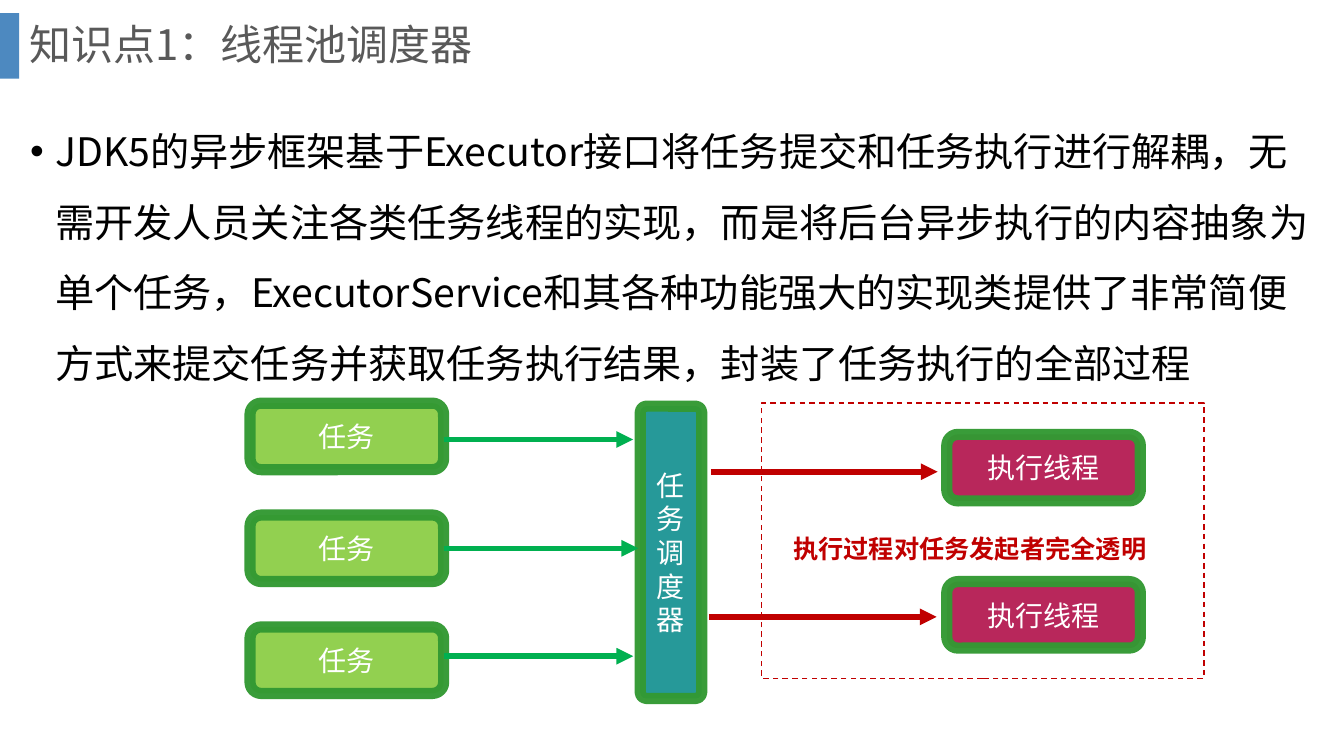
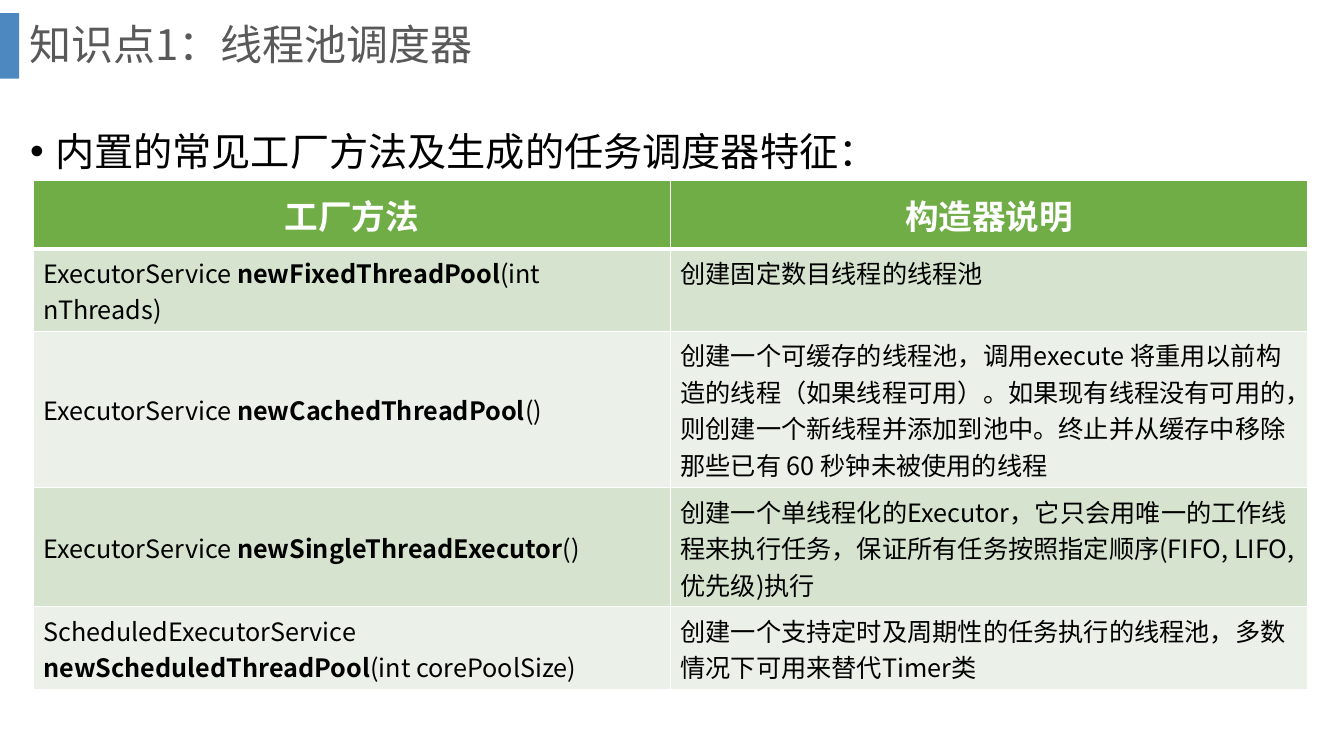
from lxml import etree
from pptx import Presentation
from pptx import util as u
from pptx.dml.color import RGBColor
from pptx.enum import dml, shapes, text
from pptx.oxml import ns

FONT = "Noto Sans CJK SC"
BAND_BLUE = RGBColor(0x2E, 0x75, 0xB6)
TITLE_GRAY = RGBColor(0x59, 0x59, 0x59)
BLACK = RGBColor(0, 0, 0)
WHITE = RGBColor(0xFF, 0xFF, 0xFF)
EDGE_GREEN = RGBColor(0x33, 0x99, 0x33)
TASK_GREEN = RGBColor(0x92, 0xD0, 0x50)
TEAL = RGBColor(0x26, 0x99, 0x99)
CRIMSON = RGBColor(0xB8, 0x27, 0x5B)
SUBMIT_GREEN = RGBColor(0x00, 0xB0, 0x50)
RED = RGBColor(0xC0, 0x00, 0x00)
HEADER_GREEN = RGBColor(0x70, 0xAD, 0x47)
ROW_TINTS = [RGBColor(0xD5, 0xE3, 0xCF), RGBColor(0xEB, 0xF1, 0xE9)]


def format_runs(paragraph, size, color):
    for run in paragraph.runs:
        run.font.size = u.Pt(size)
        run.font.color.rgb = color
        run.font.name = FONT
        east_asian = etree.SubElement(run.font._element, ns.qn("a:ea"))
        east_asian.set("typeface", FONT)


def set_opacity(shape, color_query, percent):
    for color in shape._element.xpath(color_query):
        etree.SubElement(color, ns.qn("a:alpha")).set("val", str(percent * 1000))


deck = Presentation()
deck.slide_width = u.Inches(13.33)
deck.slide_height = u.Inches(7.5)

statements = [
    "JDK5的异步框架基于Executor接口将任务提交和任务执行进行解耦，无需开发人员关注各类任务线程的实现，"
    "而是将后台异步执行的内容抽象为单个任务，ExecutorService和其各种功能强大的实现类提供了非常简便方式"
    "来提交任务并获取任务执行结果，封装了任务执行的全部过程",
    "内置的常见工厂方法及生成的任务调度器特征：",
]

for statement in statements:
    slide = deck.slides.add_slide(deck.slide_layouts[6])
    band = slide.shapes.add_shape(
        shapes.MSO_SHAPE.RECTANGLE, 0, u.Inches(0.13), u.Inches(0.19), u.Inches(0.65))
    band.shadow.inherit = False
    band.fill.solid()
    band.fill.fore_color.rgb = BAND_BLUE
    band.line.fill.background()
    set_opacity(band, "./p:spPr/a:solidFill/a:srgbClr", 85)

    title = slide.shapes.add_textbox(u.Inches(0.19), 0, u.Inches(12.66), u.Inches(0.93)).text_frame
    title.word_wrap = True
    title.vertical_anchor = text.MSO_ANCHOR.MIDDLE
    title.text = "知识点1：线程池调度器"
    title.paragraphs[0].line_spacing = 0.9
    format_runs(title.paragraphs[0], 30, TITLE_GRAY)

    body = slide.shapes.add_textbox(
        u.Inches(0.2), u.Inches(0.98), u.Inches(12.9), u.Inches(5.96)).text_frame
    body.word_wrap = True
    body.text = statement
    bullet_line = body.paragraphs[0]
    bullet_line.line_spacing = 1.5
    properties = bullet_line._p.get_or_add_pPr()
    properties.set("marL", str(u.Inches(0.25)))
    properties.set("indent", str(u.Inches(-0.25)))
    etree.SubElement(properties, ns.qn("a:buFont")).set("typeface", "Arial")
    etree.SubElement(properties, ns.qn("a:buChar")).set("char", "•")
    format_runs(bullet_line, 28, BLACK)

flow, methods = deck.slides

task_tops = [4, 5.11, 6.22]
worker_tops = [4.31, 5.77]
box_width, box_height = 1.92, 0.66
task_left, worker_left = 2.48, 9.39

nodes = [("任务调度器", 6.35, 4.03, 0.61, 2.9, TEAL)]
nodes += [("任务", task_left, top, box_width, box_height, TASK_GREEN) for top in task_tops]
nodes += [("执行线程", worker_left, top, box_width, box_height, CRIMSON) for top in worker_tops]
boxes = []
for label, left, top, width, height, color in nodes:
    box = flow.shapes.add_shape(
        shapes.MSO_SHAPE.ROUNDED_RECTANGLE,
        u.Inches(left), u.Inches(top), u.Inches(width), u.Inches(height))
    box.shadow.inherit = False
    box.fill.solid()
    box.fill.fore_color.rgb = color
    box.line.color.rgb = EDGE_GREEN
    box.line.width = u.Pt(8)
    set_opacity(box, "./p:spPr/a:ln/a:solidFill/a:srgbClr", 96)
    box.text_frame.word_wrap = True
    box.text_frame.vertical_anchor = text.MSO_ANCHOR.MIDDLE
    box.text_frame.text = label
    box.text_frame.paragraphs[0].alignment = text.PP_ALIGN.CENTER
    format_runs(box.text_frame.paragraphs[0], 20, WHITE)
    boxes.append(box)
scheduler, first_task, middle_task = boxes[:3]
scheduler.adjustments[0] = 0.1

arrows = [
    (4.4, 6.28, 4.36, SUBMIT_GREEN, None),
    (4.4, 6.33, 5.44, SUBMIT_GREEN, middle_task),
    (4.4, 6.28, 6.51, SUBMIT_GREEN, None),
    (7.05, 9.3, 4.68, RED, None),
    (7.03, 9.29, 6.12, RED, None),
]
for start, end, y, color, source in arrows:
    arrow = flow.shapes.add_connector(
        shapes.MSO_CONNECTOR.STRAIGHT, u.Inches(start), u.Inches(y), u.Inches(end), u.Inches(y))
    if source is not None:
        arrow.begin_connect(source, 3)
    arrow.line.color.rgb = color
    arrow.line.width = u.Pt(4)
    etree.SubElement(arrow.line._get_or_add_ln(), ns.qn("a:tailEnd")).set("type", "triangle")
    etree.SubElement(arrow._element.spPr, ns.qn("a:effectLst"))

execution_area = flow.shapes.add_shape(
    shapes.MSO_SHAPE.RECTANGLE, u.Inches(7.55), u.Inches(4), u.Inches(4.39), u.Inches(2.73))
execution_area.shadow.inherit = False
execution_area.fill.background()
execution_area.line.color.rgb = RED
execution_area.line.width = u.Pt(1)
execution_area.line.dash_style = dml.MSO_LINE.DASH

remark = flow.shapes.add_textbox(
    u.Inches(7.77), u.Inches(5.24), u.Inches(3.75), u.Inches(0.4)).text_frame
remark.text = "执行过程对任务发起者完全透明"
format_runs(remark.paragraphs[0], 18, RED)
remark.paragraphs[0].runs[0].font.bold = True

factory_rows = [
    (["工厂方法"], "构造器说明", 0.68),
    (["ExecutorService ", "newFixedThreadPool", "(int nThreads)"],
     "创建固定数目线程的线程池", 0.82),
    (["ExecutorService ", "newCachedThreadPool", "()"],
     "创建一个可缓存的线程池，调用execute 将重用以前构造的线程（如果线程可用）。"
     "如果现有线程没有可用的，则创建一个新线程并添加到池中。"
     "终止并从缓存中移除那些已有 60 秒钟未被使用的线程", 1.55),
    (["ExecutorService ", "newSingleThreadExecutor", "()"],
     "创建一个单线程化的Executor，它只会用唯一的工作线程来执行任务，"
     "保证所有任务按照指定顺序(FIFO, LIFO, 优先级)执行", 1.18),
    (["ScheduledExecutorService ", "newScheduledThreadPool", "(int corePoolSize)"],
     "创建一个支持定时及周期性的任务执行的线程池，多数情况下可用来替代Timer类", 0.82),
]
factory_table = methods.shapes.add_table(
    len(factory_rows), 2, u.Inches(0.33), u.Inches(1.79), u.Inches(12.64),
    u.Inches(sum(row[2] for row in factory_rows))).table
for column in factory_table.columns:
    column.width = u.Inches(6.32)

for row, (signature, description, height) in enumerate(factory_rows):
    factory_table.rows[row].height = u.Inches(height)
    is_header = row == 0
    for column, pieces in enumerate([signature, [description]]):
        cell = factory_table.cell(row, column)
        if is_header or column == 0:
            cell.vertical_anchor = text.MSO_ANCHOR.MIDDLE
        cell_properties = cell._tc.get_or_add_tcPr()
        for side in ("lnL", "lnR", "lnT", "lnB"):
            if row == 1 and side == "lnT":
                continue
            border = etree.SubElement(cell_properties, ns.qn("a:" + side))
            border.set("w", str(u.Pt(3 if is_header and side == "lnB" else 1)))
            border_fill = etree.SubElement(border, ns.qn("a:solidFill"))
            etree.SubElement(border_fill, ns.qn("a:srgbClr")).set("val", str(WHITE))
        cell.fill.solid()
        cell.fill.fore_color.rgb = HEADER_GREEN if is_header else ROW_TINTS[(row - 1) % 2]
        paragraph = cell.text_frame.paragraphs[0]
        if is_header:
            paragraph.alignment = text.PP_ALIGN.CENTER
        for position, piece in enumerate(pieces):
            run = paragraph.add_run()
            run.text = piece
            run.font.bold = is_header or position == 1
        format_runs(paragraph, 24 if is_header else 18, WHITE if is_header else BLACK)

deck.save("out.pptx")
